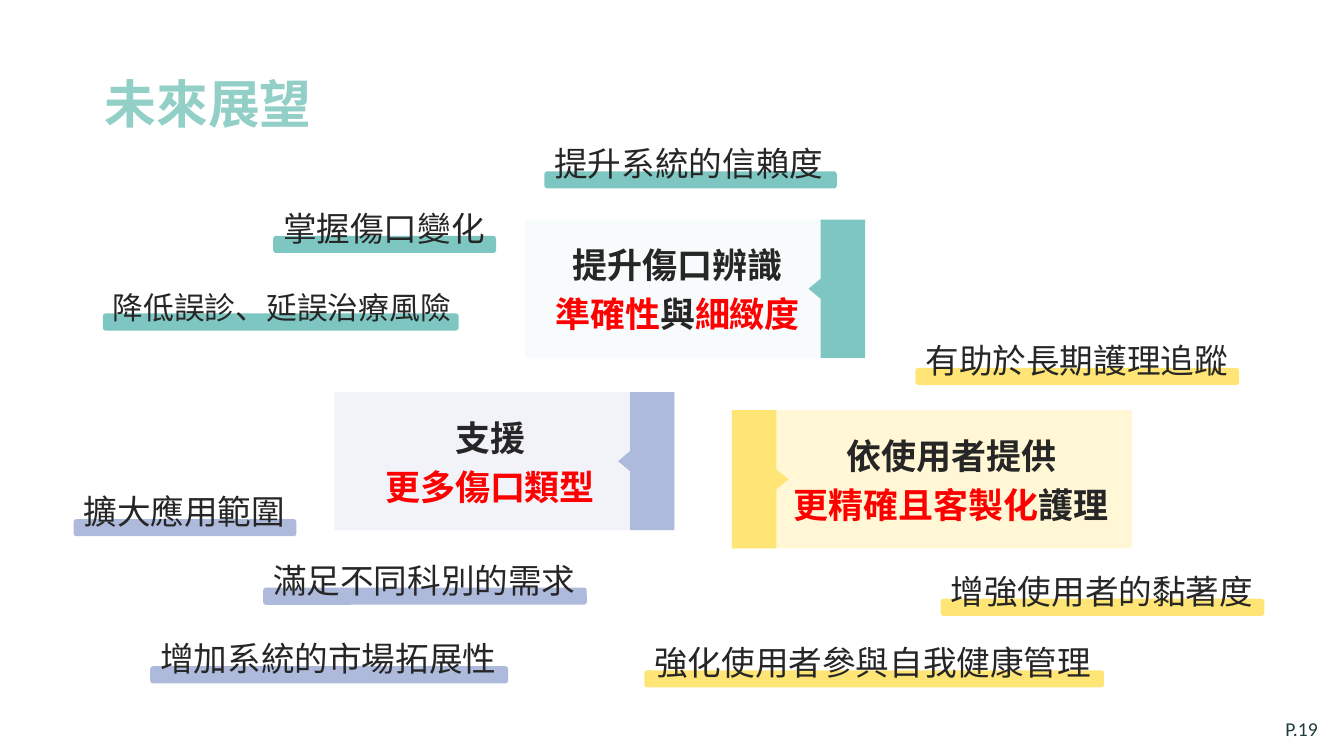
from pptx import Presentation
from pptx.dml.color import RGBColor
from pptx.enum.shapes import MSO_SHAPE
from pptx.enum.text import MSO_ANCHOR, MSO_AUTO_SIZE, PP_ALIGN
from pptx.oxml.ns import qn
from pptx.util import Inches, Pt
from lxml import etree

RECT, ROUND = MSO_SHAPE.RECTANGLE, MSO_SHAPE.ROUNDED_RECTANGLE
LEFT, CENTER, JUSTIFY = PP_ALIGN.LEFT, PP_ALIGN.CENTER, PP_ALIGN.JUSTIFY
TOP, MIDDLE = MSO_ANCHOR.TOP, MSO_ANCHOR.MIDDLE
GROW, FIXED = MSO_AUTO_SIZE.SHAPE_TO_FIT_TEXT, MSO_AUTO_SIZE.NONE

THEME = {
    "teal": "7EC6C1", "teal_pale": "F7FBFB",
    "yellow": "FFE575", "yellow_pale": "FFF7D5",
    "blue": "AEBADC", "blue_pale": "F1F3F9",
    "title": "92CFC7", "ink": "262626", "accent": "FF0000", "page": "1B3D3B",
    "heading_font": "Calibri", "label_font": "Noto Sans CJK TC",
    "title_size": 37, "card_size": 25, "label_size": 24, "small_size": 22, "page_size": 14,
}

prs = Presentation()
prs.slide_width, prs.slide_height = Inches(13.33), Inches(7.5)
s = prs.slides.add_slide(prs.slide_layouts[6])


def paint(sp, color):
    sp.shadow.inherit = False
    sp.fill.solid()
    sp.fill.fore_color.rgb = RGBColor.from_string(THEME[color])
    sp.line.fill.background()


def add_text(box, lines, size, font="heading_font", bold=False, align=LEFT, spacing=None, **frame):
    tf = s.shapes.add_textbox(*map(Inches, box)).text_frame
    for name, value in {"word_wrap": True, "auto_size": GROW, "vertical_anchor": TOP, **frame}.items():
        setattr(tf, name, value)
    for i, line in enumerate(lines):
        p = tf.add_paragraph() if i else tf.paragraphs[0]
        p.alignment = align
        if spacing:
            p.line_spacing = Pt(spacing)
        if i:
            p.space_before = Pt(THEME[size] * 0.2)
        for text, color in line:
            r = p.add_run()
            r.text = text
            for name, value in {"name": THEME[font], "size": Pt(THEME[size]), "bold": bold}.items():
                setattr(r.font, name, value)
            r.font.color.rgb = RGBColor.from_string(THEME[color])
            etree.SubElement(r.font._element, qn("a:ea"), typeface=THEME["label_font"])


add_text((12.65, 7.06, 0.68, 0.34), [[("P.19", "page")]], "page_size")
add_text((0.94, 0.66, 2.31, 0.68), [[("未來展望", "title")]], "title_size", bold=True, word_wrap=False)

CARD_HEIGHT, BAND, NOTCH, NOTCH_HALF = 1.37, 0.44, 0.12, 0.1
cards = [
    (5.21, 2.18, 3.37, "teal", -1, 5.28, 2.88,
     [[("提升傷口辨識", "ink")], [("準確性", "accent"), ("與", "ink"), ("細緻度", "accent")]]),
    (7.26, 4.07, 3.97, "yellow", 1, 7.87, 3.13,
     [[("依使用者提供", "ink")], [("更精確且客製化", "accent"), ("護理", "ink")]]),
    (3.32, 3.89, 3.37, "blue", -1, 3.45, 2.82,
     [[("支援", "ink")], [("更多傷口類型", "accent")]]),
]
for left, top, width, color, side, text_left, text_width, lines in cards:
    sp = s.shapes.add_shape(RECT, *map(Inches, (left, top, width, CARD_HEIGHT)))
    paint(sp, color + "_pale")
    outer = left if side > 0 else left + width
    inner = outer + side * BAND
    middle, bottom = top + CARD_HEIGHT / 2, top + CARD_HEIGHT
    outline = [(outer, top), (outer, bottom), (inner, bottom), (inner, middle + NOTCH_HALF),
               (inner + side * NOTCH, middle), (inner, middle - NOTCH_HALF), (inner, top)]
    points = [(Inches(x), Inches(y)) for x, y in outline]
    builder = s.shapes.build_freeform(*points[0])
    builder.add_line_segments(points[1:], close=True)
    paint(builder.convert_to_shape(), color)
    add_text((text_left, top + 0.07, text_width, 1.24), lines, "card_size", bold=True,
             align=CENTER, spacing=30, auto_size=FIXED, vertical_anchor=MIDDLE,
             margin_left=0, margin_right=0, margin_top=0, margin_bottom=0)

labels = [
    ("提升系統的信賴度", 5.4, 1.7, 2.9, "teal", "label_size"),
    ("掌握傷口變化", 2.71, 2.34, 2.21, "teal", "label_size"),
    ("降低誤診、延誤治療風險", 1.02, 3.11, 3.53, "teal", "small_size"),
    ("有助於長期護理追蹤", 9.08, 3.65, 3.21, "yellow", "label_size"),
    ("增強使用者的黏著度", 9.33, 5.94, 3.21, "yellow", "label_size"),
    ("強化使用者參與自我健康管理", 6.39, 6.65, 4.56, "yellow", "label_size"),
    ("擴大應用範圍", 0.73, 5.15, 2.21, "blue", "label_size"),
    ("滿足不同科別的需求", 2.61, 5.83, 3.21, "blue", "label_size"),
    ("增加系統的市場拓展性", 1.49, 6.61, 3.55, "blue", "label_size"),
]
for text, left, top, width, color, size in labels:
    sp = s.shapes.add_shape(ROUND, *map(Inches, (left, top, width, 0.17)))
    paint(sp, color)
    add_text((left, top - 0.26, width + 0.04, 0.44), [[(text, "ink")]], size,
             font="label_font", align=JUSTIFY, spacing=24)

prs.save("out.pptx")
